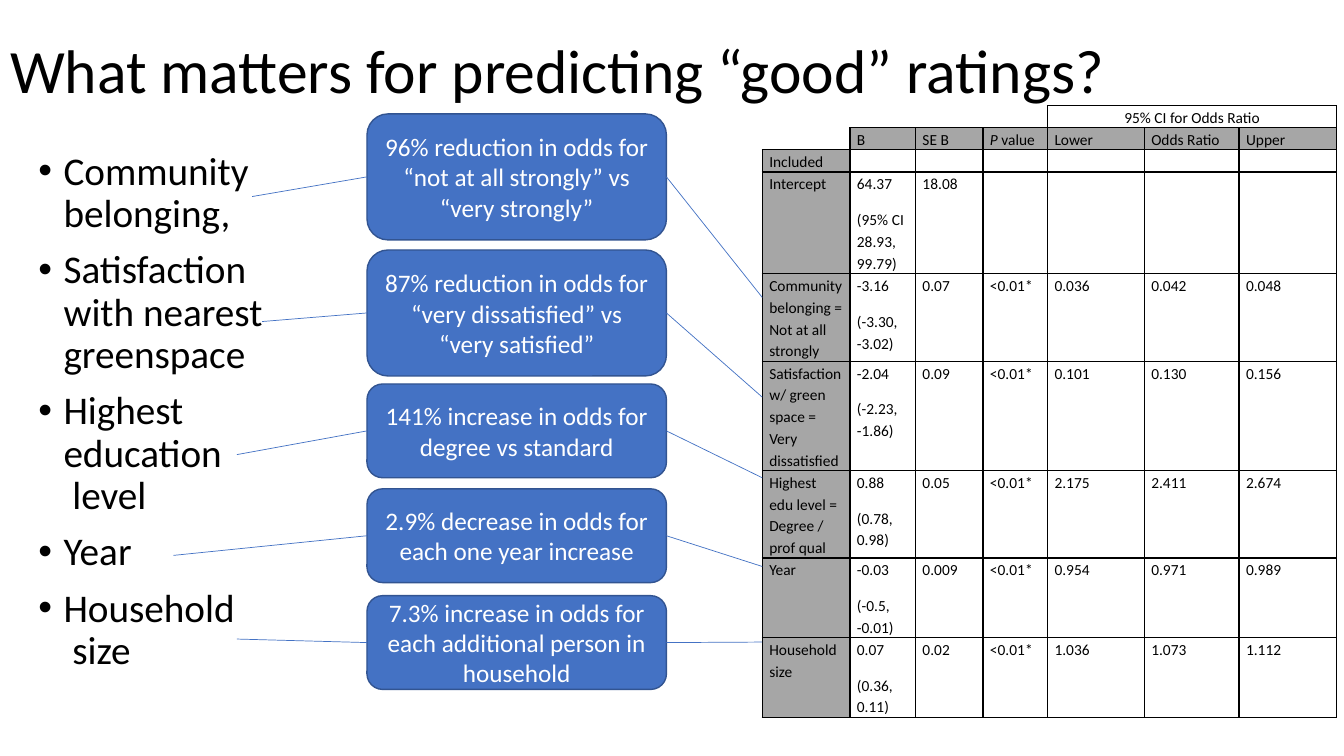
from lxml.etree import SubElement
from pptx import Presentation
from pptx.dml.color import RGBColor
from pptx.enum.shapes import MSO_CONNECTOR, MSO_SHAPE
from pptx.enum.text import MSO_ANCHOR, MSO_AUTO_SIZE, PP_ALIGN
from pptx.oxml.ns import qn
from pptx.util import Inches, Pt

BLACK = RGBColor(0x00, 0x00, 0x00)
WHITE = RGBColor(0xFF, 0xFF, 0xFF)
BLUE = RGBColor(0x44, 0x72, 0xC4)
DARK_BLUE = RGBColor(0x32, 0x54, 0x91)
GREY = RGBColor(0xA6, 0xA6, 0xA6)

TITLE = "What matters for predicting “good” ratings?"
# factor, line start, effect, box top, box height, line end on the table
FACTORS = [
    ("Community belonging,", (2.5, 1.95),
     "96% reduction in odds for “not at all strongly” vs “very strongly”", 1.13, 1.25, 2.95),
    ("Satisfaction with nearest greenspace", (2.6, 3.19),
     "87% reduction in odds for “very dissatisfied” vs “very satisfied”", 2.48, 1.25, 3.94),
    ("Highest education\v level", (2.35, 4.51),
     "141% increase in odds for degree vs standard", 3.81, 0.93, 4.74),
    ("Year", (1.72, 5.51),
     "2.9% decrease in odds for each one year increase", 4.85, 0.93, 5.62),
    ("Household\v size", (2.35, 6.34),
     "7.3% increase in odds for each additional person in household", 5.91, 0.93, 6.37),
]
ROWS = [
    ("", "", "", "", "95% CI for Odds Ratio", "", ""),
    ("", "B", "SE B", "P value", "Lower", "Odds Ratio", "Upper"),
    ("Included", "", "", "", "", "", ""),
    ("Intercept", "64.37\n(95% CI 28.93, 99.79)", "18.08", "", "", "", ""),
    ("Communitybelonging = Not at all strongly", "-3.16\n(-3.30, \v-3.02)",
     "0.07", "<0.01*", "0.036", "0.042", "0.048"),
    ("Satisfaction w/ green space = \vVery dissatisfied", "-2.04\n(-2.23, \v-1.86)",
     "0.09", "<0.01*", "0.101", "0.130", "0.156"),
    ("Highest edu level = Degree / prof qual", "0.88\n(0.78, 0.98)",
     "0.05", "<0.01*", "2.175", "2.411", "2.674"),
    ("Year", "-0.03\n(-0.5, \v-0.01)", "0.009", "<0.01*", "0.954", "0.971", "0.989"),
    ("Household size", "0.07\n(0.36, 0.11)", "0.02", "<0.01*", "1.036", "1.073", "1.112"),
]
COLUMN_WIDTHS = [0.87, 0.65, 0.67, 0.64, 0.96, 0.94, 0.97]
ROW_HEIGHTS = [0.21, 0.22, 0.22, 1.01, 0.87, 1.08, 0.86, 0.79, 0.78]
BLANK_CELLS = {(0, 0), (0, 1), (0, 2), (0, 3), (1, 0)}
EDGES = {"lnL": (0, -1), "lnR": (0, 1), "lnT": (-1, 0), "lnB": (1, 0)}
TABLE_LEFT, TABLE_TOP = 7.56, 1.05
BOX_LEFT, BOX_WIDTH = 3.64, 2.97


def place(shape, left, top, width, height):
    shape.left, shape.top = Inches(left), Inches(top)
    shape.width, shape.height = Inches(width), Inches(height)


def style(para, size, color, align=PP_ALIGN.LEFT):
    para.alignment = align
    para.font.size = Pt(size)
    para.font.name = "Calibri"
    para.font.color.rgb = color


def add_line(page, start, end):
    line = page.shapes.add_connector(
        MSO_CONNECTOR.STRAIGHT, *(Inches(value) for value in start + end))
    line.line.color.rgb = BLUE
    line.line.width = Pt(0.5)
    SubElement(line._element.spPr, qn("a:effectLst"))
    return line


def add_borders(cell, row, column):
    properties = cell._tc.get_or_add_tcPr()
    for tag, (down, right) in EDGES.items():
        neighbour = (row + down, column + right)
        outside = (neighbour[0] < 0 or neighbour[1] < 0) or neighbour in BLANK_CELLS
        color = WHITE if (row, column) in BLANK_CELLS and outside else BLACK
        border = SubElement(properties, qn("a:" + tag), w=str(Pt(1)))
        fill = SubElement(border, qn("a:solidFill"))
        SubElement(fill, qn("a:srgbClr"), val=str(color))


def fill_cell(cell, row, column, text):
    cell.margin_left = cell.margin_right = Inches(0.07)
    cell.margin_top = cell.margin_bottom = 0
    add_borders(cell, row, column)
    if (row == 1 or column == 0) and text:
        cell.fill.solid()
        cell.fill.fore_color.rgb = GREY
    else:
        cell.fill.background()
    cell.text_frame.text = text
    for para in cell.text_frame.paragraphs:
        style(para, 11, BLACK, PP_ALIGN.CENTER if row == 0 else PP_ALIGN.LEFT)
        para.line_spacing = 1.15
        para.space_after = Pt(10)
        if not text:
            para._p.get_or_add_endParaRPr().set("sz", "1100")
        if text == "P value":
            para.runs[0].text = "P"
            para.runs[0].font.italic = True
            para.add_run().text = " value"


def add_table(page):
    frame = page.shapes.add_table(
        len(ROWS), len(COLUMN_WIDTHS), Inches(TABLE_LEFT), Inches(TABLE_TOP),
        Inches(sum(COLUMN_WIDTHS)), Inches(sum(ROW_HEIGHTS)))
    table = frame.table
    table.first_row = table.horz_banding = False
    for column, width in zip(table.columns, COLUMN_WIDTHS):
        column.width = Inches(width)
    for row, height in zip(table.rows, ROW_HEIGHTS):
        row.height = Inches(height)
    for row, texts in enumerate(ROWS):
        for column, text in enumerate(texts):
            fill_cell(table.cell(row, column), row, column, text)
    table.cell(0, 4).merge(table.cell(0, 6))


def add_text(page):
    title, body = page.shapes.title, page.placeholders[1]
    place(title, 0, 0, 12.26, 1.45)
    place(body, 0.28, 1.45, 2.97, 5.67)
    title.text_frame.text = TITLE
    title.text_frame.vertical_anchor = MSO_ANCHOR.MIDDLE
    body.text_frame.text = "\n".join(factor[0] for factor in FACTORS)
    for shape, size in ((title, 44), (body, 28)):
        shape.text_frame.auto_size = MSO_AUTO_SIZE.NONE
        for para in shape.text_frame.paragraphs:
            style(para, size, BLACK)
            para.line_spacing = 0.9
    for para in body.text_frame.paragraphs:
        para.space_before = Pt(10)
        properties = para._p.get_or_add_pPr()
        properties.set("marL", str(Inches(0.25)))
        properties.set("indent", str(Inches(-0.25)))


def add_effect(page, start, text, top, height, table_y):
    box = page.shapes.add_shape(
        MSO_SHAPE.ROUNDED_RECTANGLE, Inches(BOX_LEFT), Inches(top),
        Inches(BOX_WIDTH), Inches(height))
    box.shadow.inherit = False
    box.fill.solid()
    box.fill.fore_color.rgb = BLUE
    box.line.color.rgb = DARK_BLUE
    box.line.width = Pt(1)
    box.text_frame.word_wrap = True
    box.text_frame.vertical_anchor = MSO_ANCHOR.MIDDLE
    box.text_frame.text = text
    style(box.text_frame.paragraphs[0], 18, WHITE, PP_ALIGN.CENTER)
    middle = top + height / 2
    add_line(page, start, (BOX_LEFT, middle)).end_connect(box, 1)
    add_line(page, (BOX_LEFT + BOX_WIDTH, middle), (TABLE_LEFT, table_y)).begin_connect(box, 3)


def main():
    deck = Presentation()
    deck.slide_width, deck.slide_height = Inches(13.33), Inches(7.5)
    page = deck.slides.add_slide(deck.slide_layouts[1])
    add_text(page)
    add_table(page)
    for _, *effect in FACTORS:
        add_effect(page, *effect)
    deck.save("out.pptx")


if __name__ == "__main__":
    main()
